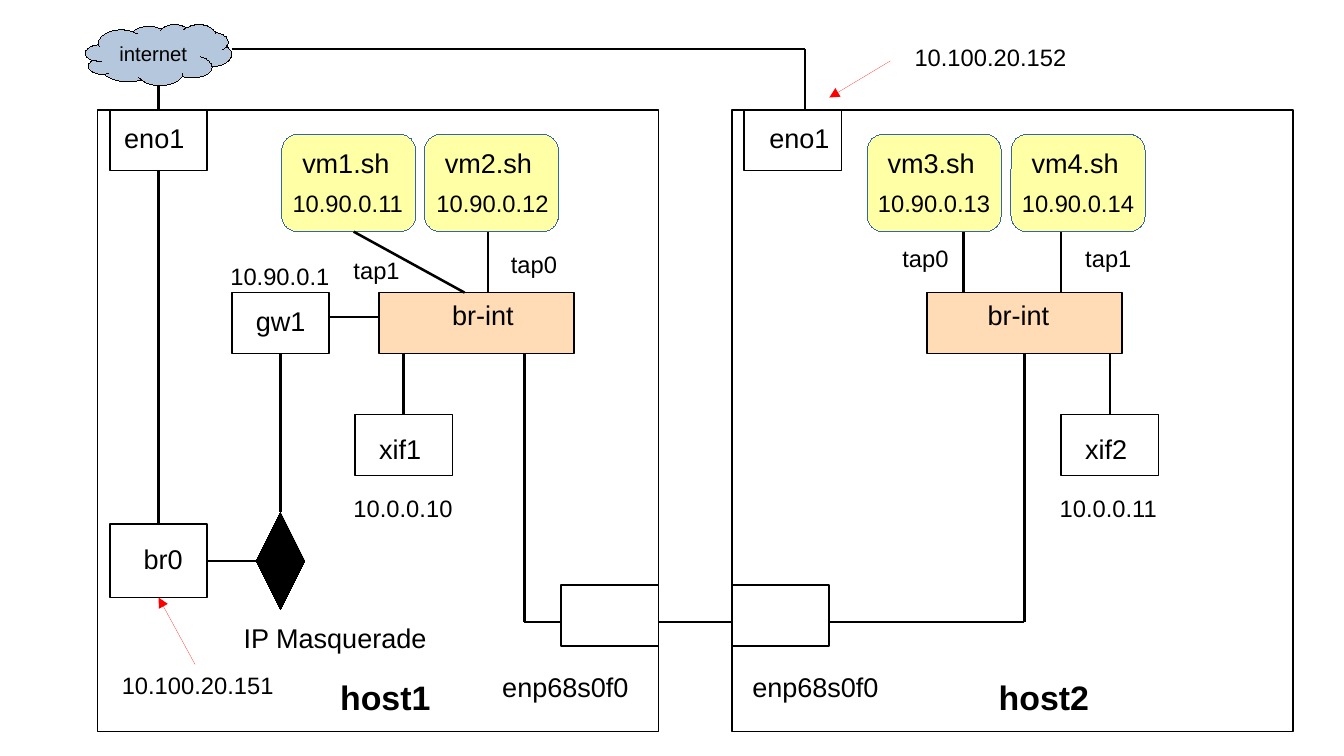
from lxml import etree
from pptx import Presentation
from pptx import util as u
from pptx.dml.color import RGBColor
from pptx.enum import shapes, text
from pptx.oxml.ns import qn

PX = 9144
SLIDE_W, SLIDE_H = 1102, 620
FONT = "Arial"
HAIRLINE = 0.01
BLACK = RGBColor(0x00, 0x00, 0x00)
WHITE = RGBColor(0xFF, 0xFF, 0xFF)
RED = RGBColor(0xFF, 0x00, 0x00)
CLOUD_BLUE = RGBColor(0xB4, 0xC7, 0xDC)
BRIDGE_PEACH = RGBColor(0xFF, 0xDB, 0xB6)
VM_YELLOW = RGBColor(0xFF, 0xFF, 0xA6)
VM_EDGE = RGBColor(0x34, 0x65, 0xA4)

KIND = shapes.MSO_SHAPE
STYLES = {
    "host": (KIND.RECTANGLE, 460, 510, WHITE, BLACK, 1),
    "port": (KIND.RECTANGLE, 80, 50, WHITE, BLACK, 1),
    "outer bridge": (KIND.RECTANGLE, 80, 60, WHITE, BLACK, 1),
    "inner bridge": (KIND.RECTANGLE, 160, 50, BRIDGE_PEACH, BLACK, 1),
    "vm": (KIND.ROUNDED_RECTANGLE, 110, 80, VM_YELLOW, VM_EDGE, HAIRLINE),
    "masquerade": (KIND.DIAMOND, 40, 80, BLACK, BLACK, HAIRLINE),
    "cloud": (KIND.CLOUD, 120, 50, CLOUD_BLUE, BLACK, HAIRLINE),
}
NODES = [
    ("host", [(80, 90), (600, 90)]),
    ("cloud", [(70, 20)]),
    ("outer bridge", [(90, 430)]),
    ("masquerade", [(210, 420)]),
    ("inner bridge", [(311, 240), (760, 240)]),
    ("vm", [(231, 110), (348, 110), (711, 110), (829, 110)]),
    ("port", [(90, 90), (610, 90), (190, 240), (291, 340), (870, 340),
              (460, 480), (600, 480)]),
]
LINKS = [
    (130, 70, 130, 90), (130, 140, 130, 430), (600, 510, 540, 510),
    (230, 290, 230, 420), (311, 260, 271, 260), (290, 190, 381, 240),
    (430, 290, 430, 510), (460, 510, 430, 510), (230, 460, 170, 460),
    (331, 290, 331, 340), (400, 190, 400, 240), (840, 290, 840, 510),
    (840, 510, 680, 510), (790, 190, 790, 240), (870, 190, 870, 240),
    (910, 290, 910, 340), (660, 40, 660, 90),
]
UPLINK = [(190, 40, 660, 40)]
POINTERS = [(160, 545, 130, 490), (730, 50, 680, 80)]
NAMES = [
    ("eno1", 92, 95, 69), ("eno1", 621, 95, 69),
    ("br0", 108, 440, 52), ("gw1", 200, 245, 60),
    ("br-int", 361, 240, 70), ("br-int", 800, 240, 70),
    ("vm1.sh", 238, 115, 91), ("vm2.sh", 355, 115, 91),
    ("vm3.sh", 718, 115, 91), ("vm4.sh", 836, 115, 91),
    ("xif1", 301, 350, 60), ("xif2", 880, 350, 60),
    ("IP Masquerade", 190, 505, 170),
    ("enp68s0f0", 402, 545, 123), ("enp68s0f0", 607, 545, 123),
]
ADDRESSES = [
    ("10.90.0.11", 230, 150, 111), ("10.90.0.12", 348, 150, 112),
    ("10.90.0.13", 710, 150, 112), ("10.90.0.14", 828, 150, 112),
    ("10.90.0.1", 179, 210, 111),
    ("10.0.0.10", 280, 400, 101), ("10.0.0.11", 859, 400, 101),
    ("10.100.20.151", 90, 545, 145), ("10.100.20.152", 740, 30, 145),
    ("tap1", 280, 205, 111), ("tap0", 409, 200, 111),
    ("tap0", 730, 195, 111), ("tap1", 880, 195, 111),
]
HOSTS = [("host1", 269, 550, 111), ("host2", 809, 550, 111)]


def px(*lengths):
    return [u.Emu(n * PX) for n in lengths]


def write(frame, words, size, bold=False, **format_values):
    for key, value in format_values.items():
        setattr(frame, key, value)
    run = frame.paragraphs[0].add_run()
    run.text = words
    run.font.color.rgb = BLACK
    for key, value in {"name": FONT, "size": u.Pt(size), "bold": bold}.items():
        setattr(run.font, key, value)


def add_node(slide, style, x, y):
    kind, w, h, fill, edge, weight = STYLES[style]
    node = slide.shapes.add_shape(kind, *px(x, y, w, h))
    node.shadow.inherit = False
    node.fill.solid()
    node.fill.fore_color.rgb = fill
    node.line.color.rgb = edge
    node.line.width = u.Pt(weight)
    if style == "cloud":
        write(node.text_frame, "internet", 12, word_wrap=False)
        node.text_frame.paragraphs[0].alignment = text.PP_ALIGN.CENTER
        return {}
    middles = [(x + w / 2, y), (x, y + h / 2), (x + w / 2, y + h), (x + w, y + h / 2)]
    return {middle: (node, side) for side, middle in enumerate(middles)}


def add_link(slide, sites, ends, color, weight, arrow):
    link = slide.shapes.add_connector(shapes.MSO_CONNECTOR.STRAIGHT, *px(*ends))
    for join, end in ((link.begin_connect, ends[:2]), (link.end_connect, ends[2:])):
        if end in sites:
            join(*sites[end])
    link.line.color.rgb = color
    link.line.width = u.Pt(weight)
    if arrow:
        etree.SubElement(link.line._get_or_add_ln(), qn("a:tailEnd"), type="triangle")
    etree.SubElement(link._element.spPr, qn("a:effectLst"))


def main():
    deck = Presentation()
    deck.slide_width, deck.slide_height = px(SLIDE_W, SLIDE_H)
    slide = deck.slides.add_slide(deck.slide_layouts[6])

    sites = {}
    for style, corners in NODES:
        for x, y in corners:
            sites.update(add_node(slide, style, x, y))

    for links, color, weight, arrow in (
        (LINKS, BLACK, 1.5, False), (UPLINK, BLACK, 1, False),
        (POINTERS, RED, HAIRLINE, True),
    ):
        for ends in links:
            add_link(slide, sites, ends, color, weight, arrow)

    for labels, size, height, bold in (
        (NAMES, 16, 35, False), (ADDRESSES, 14, 35, False), (HOSTS, 20, 41, True),
    ):
        for words, x, y, w in labels:
            label = slide.shapes.add_textbox(*px(x, y, w, height))
            write(label.text_frame, words, size, bold, word_wrap=True, margin_right=0)

    deck.save("out.pptx")


if __name__ == "__main__":
    main()
